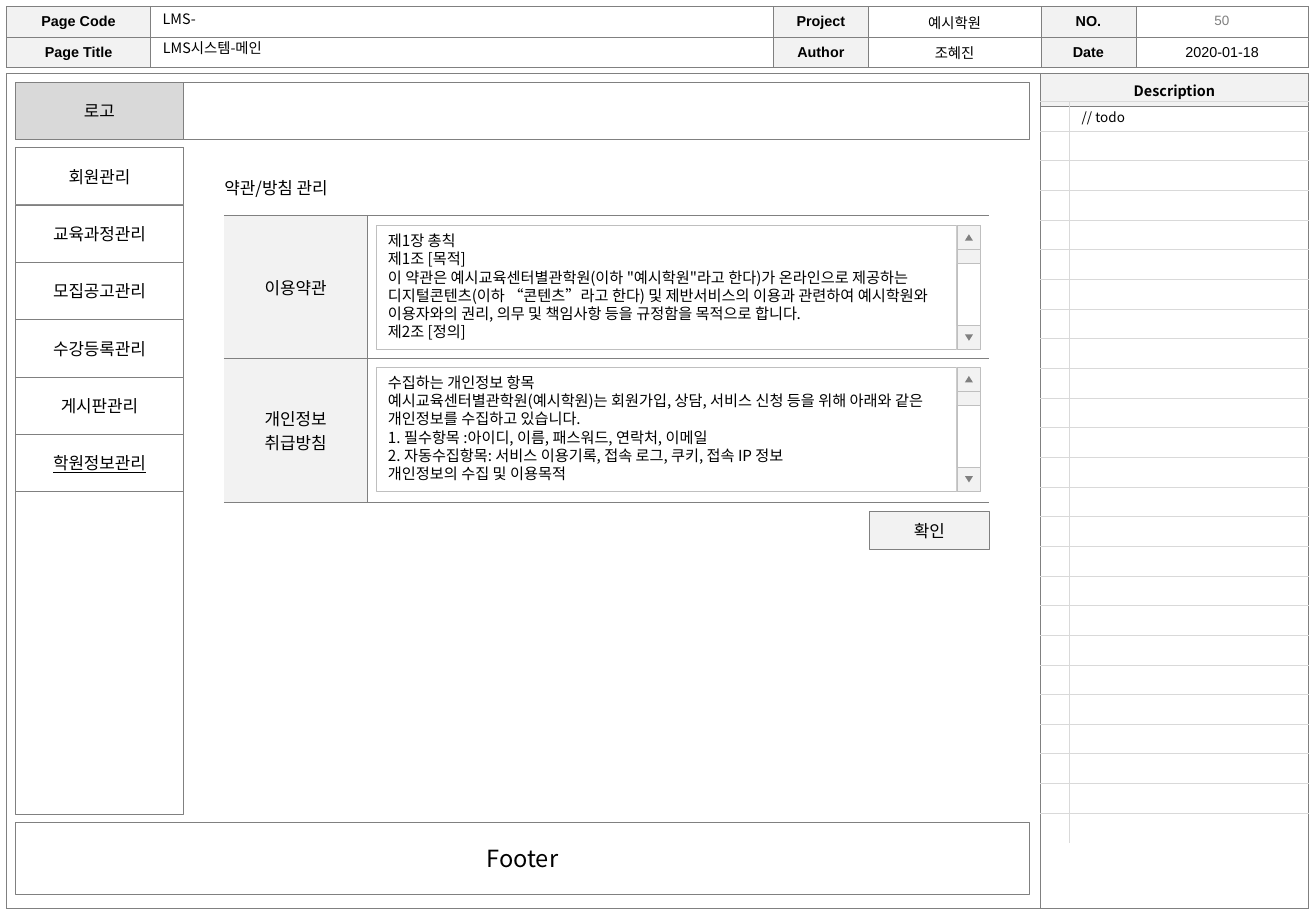
from dataclasses import dataclass

from lxml import etree
from pptx import Presentation
from pptx.dml.color import RGBColor
from pptx.enum.shapes import MSO_SHAPE
from pptx.enum.text import MSO_ANCHOR, MSO_AUTO_SIZE, PP_ALIGN
from pptx.oxml.ns import qn
from pptx.util import Pt

RECT, TRIANGLE = MSO_SHAPE.RECTANGLE, MSO_SHAPE.ISOSCELES_TRIANGLE
LEFT, CENTER = PP_ALIGN.LEFT, PP_ALIGN.CENTER
TOP, MIDDLE = MSO_ANCHOR.TOP, MSO_ANCHOR.MIDDLE


@dataclass(frozen=True)
class Theme:
    sans: str = "Arial"
    korean: str = "Noto Sans CJK KR"
    ink: str = "000000"
    muted: str = "7F7F7F"
    edge: str = "808080"
    soft: str = "BFBFBF"
    grid: str = "D9D9D9"
    pale: str = "F2F2F2"
    white: str = "FFFFFF"
    tiny: float = 8
    small: float = 8.5
    text: float = 9
    body: float = 10
    large: float = 14
    leading: float = 10.8


T = Theme()

CODE, TITLE, NUMBER = "LMS-", "LMS시스템-메인", "50"
META = [
    ["Page Code", "", "Project", "예시학원", "NO.", ""],
    ["Page Title", "", "Author", "조혜진", "Date", "2020-01-18"],
]
NOTES = ["// todo"]
NOTE_ROWS = 25
LOGO, FOOTER, HEADING, BUTTON = "로고", "Footer", "약관/방침 관리", "확인"
MENU = ["회원관리", "교육과정관리", "모집공고관리", "수강등록관리", "게시판관리", "학원정보관리"]
ACTIVE = "학원정보관리"
TERMS = [
    ("이용약관", [
        "제1장 총칙",
        "제1조 [목적]",
        "이 약관은 예시교육센터별관학원(이하 \"예시학원\"라고 한다)가 온라인으로 제공하는 "
        "디지털콘텐츠(이하 “콘텐츠”라고 한다) 및 제반서비스의 이용과 관련하여 예시학원와 "
        "이용자와의 권리, 의무 및 책임사항 등을 규정함을 목적으로 합니다.",
        "제2조 [정의]",
    ]),
    ("개인정보\n취급방침", [
        "수집하는 개인정보 항목",
        "예시교육센터별관학원(예시학원)는 회원가입, 상담, 서비스 신청 등을 위해 아래와 "
        "같은 개인정보를 수집하고 있습니다.",
        "1. 필수항목 :아이디, 이름, 패스워드, 연락처, 이메일",
        "2. 자동수집항목: 서비스 이용기록, 접속 로그, 쿠키, 접속 IP 정보",
        "개인정보의 수집 및 이용목적",
    ]),
]

prs = Presentation()
prs.slide_width, prs.slide_height = Pt(780), Pt(540)
slide = prs.slides.add_slide(prs.slide_layouts[5])
shapes = slide.shapes


def color(code):
    return RGBColor.from_string(code)


def write(frame, text, size, align=CENTER, font=T.korean, ink=T.ink,
          bold=False, under=False, leading=None):
    frame.text = text
    for para in frame.paragraphs:
        para.alignment = align
        para.line_spacing = leading and Pt(leading)
        face = para.font
        face.name, face.size, face.bold = font, Pt(size), bold
        face.color.rgb = color(ink)
        if under:
            face.underline = True
        props = para._p.pPr.find(qn("a:defRPr"))
        etree.SubElement(props, qn("a:ea")).set("typeface", T.korean)
        if not text:
            para._p.get_or_add_endParaRPr().set("sz", str(int(size * 100)))


def shape(kind, x, y, w, h, fill, line=None, weight=0.5):
    item = shapes.add_shape(kind, Pt(x), Pt(y), Pt(w), Pt(h))
    item.shadow.inherit = False
    item.fill.solid()
    item.fill.fore_color.rgb = color(fill)
    if line:
        item.line.color.rgb = color(line)
        item.line.width = Pt(weight)
    else:
        item.line.fill.background()
    return item


def box(x, y, w, h, text="", fill=T.white, size=T.body, weight=0.5, under=False):
    item = shape(RECT, x, y, w, h, fill, T.edge, weight)
    if text:
        item.text_frame.vertical_anchor = MIDDLE
        write(item.text_frame, text, size, under=under)


def label(x, y, w, h, text, size, wrap=True, **style):
    frame = shapes.add_textbox(Pt(x), Pt(y), Pt(w), Pt(h)).text_frame
    frame.word_wrap = wrap
    write(frame, text, size, **style)


def table(x, y, cols, rows):
    grid = shapes.add_table(len(rows), len(cols), Pt(x), Pt(y),
                            Pt(sum(cols)), Pt(sum(rows))).table
    grid.first_row = grid.horz_banding = False
    for col, width in zip(grid.columns, cols):
        col.width = Pt(width)
    for row, height in zip(grid.rows, rows):
        row.height = Pt(height)
    return grid


def style_cell(cell, text, size, sides, edge=T.edge, weight=0.5, fill=None, **style):
    """Fill in one cell and draw lines only on the sides named by L, R, T and B."""
    cell.margin_top = cell.margin_bottom = 0
    cell.vertical_anchor = MIDDLE
    write(cell.text_frame, text, size, **style)
    if fill:
        cell.fill.solid()
        cell.fill.fore_color.rgb = color(fill)
    else:
        cell.fill.background()
    props = cell._tc.get_or_add_tcPr()
    for spot, side in enumerate("LRTB"):
        line = etree.Element(qn("a:ln" + side), w=str(Pt(weight)))
        if side in sides:
            paint = etree.SubElement(line, qn("a:solidFill"))
            etree.SubElement(paint, qn("a:srgbClr"), val=edge)
        else:
            etree.SubElement(line, qn("a:noFill"))
        props.insert(spot, line)


def scroll(x, y, h, side=14.2, thumb=8.4):
    shape(RECT, x, y, side, h, T.white, T.soft)
    shape(RECT, x, y + side, side, thumb, T.pale, T.soft)
    tip_w, tip_h = 4.8, 3.8
    for top, turn in [(y, 0), (y + h - side, 180)]:
        shape(RECT, x, top, side, side, T.pale, T.soft)
        tip = shape(TRIANGLE, x + (side - tip_w) / 2, top + (side - tip_h) / 2,
                    tip_w, tip_h, T.edge)
        tip.rotation = turn


# Page frame and header
EDGE_X, PANE_W, NOTE_W = 3.9, 612.8, 158.8
frame = table(EDGE_X, 43.3, [PANE_W, NOTE_W], [19.8, 475.3])
for r, c, text, sides, fill in [(0, 0, "", "LTR", None), (1, 0, "", "LRB", None),
                                (0, 1, "Description", "LRTB", T.pale),
                                (1, 1, "", "LRTB", None)]:
    style_cell(frame.cell(r, c), text, T.small, sides, weight=0.25, fill=fill, bold=True)

meta = table(EDGE_X, 3.9, [85.3, 369.2, 56.3, 102.3, 56.3, 102.2], [18, 18])
for r, row in enumerate(META):
    for c, text in enumerate(row):
        head = c % 2 == 0
        style_cell(meta.cell(r, c), text, T.small, "LRTB", weight=0.25,
                   fill=T.pale if head else None, font=T.sans, bold=head)

title = shapes.title
title.left, title.top, title.width, title.height = Pt(89.3), Pt(19.7), Pt(368.6), Pt(19.5)
title.text_frame.auto_size = MSO_AUTO_SIZE.NONE
title.text_frame.vertical_anchor = TOP
write(title.text_frame, TITLE, T.small, LEFT)
label(89.3, 2.2, 368.6, 19.5, CODE, T.small, align=LEFT)
label(673.2, 3.6, 102.2, 17.3, NUMBER, T.tiny, font=T.sans, ink=T.muted)

# Description notes
notes = table(EDGE_X + PANE_W, 60.2, [17.1, NOTE_W - 17.1], [17.58] * NOTE_ROWS)
for r in range(NOTE_ROWS):
    rule = "T" if r == NOTE_ROWS - 1 else "TB"
    text = NOTES[r] if r < len(NOTES) else ""
    style_cell(notes.cell(r, 0), "", T.tiny, rule + "R", edge=T.grid)
    style_cell(notes.cell(r, 1), text, T.tiny, rule + "L", edge=T.grid, align=LEFT)

# Banner, side menu and footer
SIDE_X, SIDE_W, WIDE, ITEM_H, MENU_Y = 9.2, 99.5, 600.9, 34, 87.5
box(SIDE_X, 48.9, WIDE, ITEM_H)
box(SIDE_X, 48.9, SIDE_W, ITEM_H, LOGO, T.grid, weight=0.75)
box(SIDE_X, MENU_Y, SIDE_W, 395.2)
for i, text in enumerate(MENU):
    box(SIDE_X, MENU_Y + i * ITEM_H, SIDE_W, ITEM_H, text, under=text == ACTIVE)
box(SIDE_X, 487.4, WIDE, 42.7, FOOTER, size=T.large)

# Terms form
label(126, 101.5, 83, 19.4, HEADING, T.body, wrap=False, align=LEFT)
terms = table(132.7, 127.7, [85, 368.6], [85] * len(TERMS))
AREA_X, AREA_Y, AREA_W, AREA_H, AREA_STEP = 222.9, 133.7, 344.3, 73.5, 84
for i, (name, lines) in enumerate(TERMS):
    style_cell(terms.cell(i, 0), name, T.body, "RTB", fill=T.pale)
    style_cell(terms.cell(i, 1), "", T.body, "LTB")
    y = AREA_Y + i * AREA_STEP
    area = shape(RECT, AREA_X, y, AREA_W, AREA_H, T.white, T.soft)
    area.text_frame.vertical_anchor = TOP
    area.text_frame.word_wrap = True
    write(area.text_frame, "\n".join(lines), T.text, LEFT, leading=T.leading)
    scroll(AREA_X + AREA_W, y, AREA_H)
box(515.3, 303.1, 71.1, 22.5, BUTTON, T.pale)

prs.save("out.pptx")
